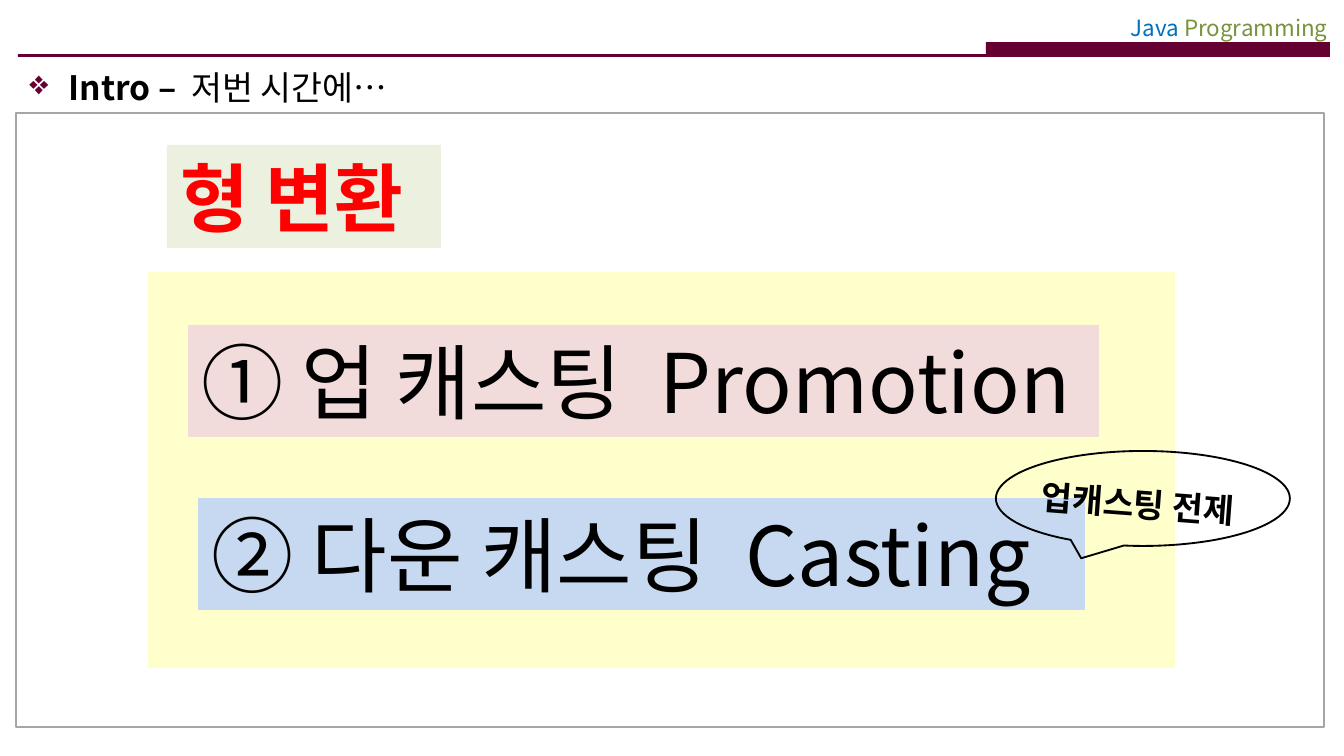
import pptx
import pptx.util
import pptx.dml.color
import pptx.enum.shapes
import pptx.enum.text
import pptx.oxml
import pptx.oxml.ns

SHAPE = pptx.enum.shapes.MSO_SHAPE
ALIGN = pptx.enum.text.PP_ALIGN
ANCHOR = pptx.enum.text.MSO_ANCHOR
EMU_PER_PX = 914400 / 134.4


class Theme:
    font = "Noto Sans CJK KR"
    plum, black, red = "660033", "000000", "FF0000"
    blue, green, gray = "0070C0", "77933C", "A6A6A6"
    cream, pink, sky, mint = "FFFFCC", "F2DCDB", "C6D9F1", "EBF1DE"
    small, body, topic, item = 12, 18, 40, 44


def px(n):
    return pptx.util.Emu(round(n * EMU_PER_PX))


def rgb(color):
    return pptx.dml.color.RGBColor.from_string(color)


def add_shape(shapes, kind, box, fill=None, line=None, width=1):
    sp = shapes.add_shape(kind, *map(px, box))
    sp.shadow.inherit = False
    if fill:
        sp.fill.solid()
        sp.fill.fore_color.rgb = rgb(fill)
    else:
        sp.fill.background()
    if line:
        sp.line.color.rgb = rgb(line)
        sp.line.width = pptx.util.Pt(width)
    else:
        sp.line.fill.background()
    return sp


def add_run(p, text, size, color, bold=False, spacing=0):
    r = p.add_run()
    r.text = text
    r.font.size = pptx.util.Pt(size)
    r.font.bold = bold
    r.font.color.rgb = rgb(color)
    r.font.name = Theme.font
    rPr = r.font._element
    ea = pptx.oxml.parse_xml(
        f'<a:ea {pptx.oxml.ns.nsdecls("a")} typeface="{Theme.font}"/>')
    rPr.find(pptx.oxml.ns.qn("a:latin")).addnext(ea)
    if spacing:
        rPr.set("spc", str(spacing * 100))


def set_text(sp, runs, align=ALIGN.LEFT, anchor=ANCHOR.MIDDLE, wrap=False):
    tf = sp.text_frame
    tf.word_wrap = wrap
    tf.auto_size = pptx.enum.text.MSO_AUTO_SIZE.NONE
    tf.vertical_anchor = anchor
    p = tf.paragraphs[0]
    p.alignment = align
    for run in runs:
        add_run(p, *run)
    return p


def add_header(slide, x, y, w, h):
    # Thin rule with a thick tab at its right end
    tab = 344
    add_shape(slide.shapes, SHAPE.RECTANGLE,
              (x + w - tab, y + h - 15, tab, 15), Theme.plum)
    add_shape(slide.shapes, SHAPE.RECTANGLE, (x, y + h - 3, w, 3), Theme.plum)
    # Course name
    sp = slide.shapes.add_textbox(*map(px, (x + w - 265, y, 276, 40)))
    set_text(sp, [("Java ", Theme.small, Theme.blue),
                  ("Programming", Theme.small, Theme.green)],
             ALIGN.RIGHT, wrap=True)


def add_title(slide, x, y, w, h):
    sp = slide.shapes.title
    sp.left, sp.top, sp.width, sp.height = map(px, (x, y, w, h))
    p = set_text(sp, [("Intro –", Theme.body, Theme.black, True),
                      (" ", Theme.body, Theme.black, True, 4),
                      ("저번 시간에…", Theme.body, Theme.black)],
                 anchor=ANCHOR.TOP, wrap=True)
    # Diamond bullet with a hanging indent
    pPr = p._p.get_or_add_pPr()
    pPr.set("marL", str(px(39)))
    pPr.set("indent", str(px(-39)))
    for xml in (f'<a:buClr {{}}><a:srgbClr val="{Theme.plum}"/></a:buClr>',
                '<a:buChar {} char="❖"/>'):
        pPr.append(pptx.oxml.parse_xml(
            xml.format(pptx.oxml.ns.nsdecls("a"))))


def add_content(slide, x, y, w, h):
    # Frame
    frame = add_shape(slide.shapes, SHAPE.ROUNDED_RECTANGLE, (x, y, w, h),
                      line=Theme.gray, width=1.5)
    frame.adjustments[0] = 0
    # Panel holding the two kinds of casting
    add_shape(slide.shapes, SHAPE.RECTANGLE,
              (x + 132, y + 159, 1027, 396), Theme.cream)
    items = (("① 업 캐스팅", "Promotion", (172, 212, 911, 112), Theme.pink),
             ("② 다운 캐스팅", "Casting", (182, 385, 887, 112), Theme.sky))
    for korean, english, (dx, dy, bw, bh), fill in items:
        sp = add_shape(slide.shapes, SHAPE.RECTANGLE,
                       (x + dx, y + dy, bw, bh), fill)
        set_text(sp, [(korean, Theme.item, Theme.black),
                      (" ", Theme.item, Theme.black, False, 10),
                      (english, Theme.item, Theme.black)])
    # Topic
    sp = add_shape(slide.shapes, SHAPE.RECTANGLE,
                   (x + 151, y + 32, 274, 103), Theme.mint)
    set_text(sp, [("형 변환", Theme.topic, Theme.red, True)])


def add_callout(slide, x, y, w, h):
    group = slide.shapes.add_group_shape()
    # Tilted label
    sp = group.shapes.add_textbox(*map(px, (x + 32, y + 26, 237, 54)))
    sp.rotation = 4.3
    set_text(sp, [("업캐스팅 전제", Theme.body, Theme.black, True)], wrap=True)
    # Speech bubble
    bubble = add_shape(group.shapes, SHAPE.OVAL_CALLOUT, (x, y, w, h),
                       line=Theme.black)
    bubble.adjustments[0] = -0.21
    bubble.adjustments[1] = 0.63


def main():
    prs = pptx.Presentation()
    prs.slide_width, prs.slide_height = px(1344), px(756)
    slide = prs.slides.add_slide(prs.slide_layouts.get_by_name("Title Only"))
    add_header(slide, 18, 8, 1312, 49)
    add_title(slide, 16, 60, 1310, 642)
    add_content(slide, 16, 113, 1308, 614)
    add_callout(slide, 996, 451, 294, 95)
    prs.save("out.pptx")


if __name__ == "__main__":
    main()
